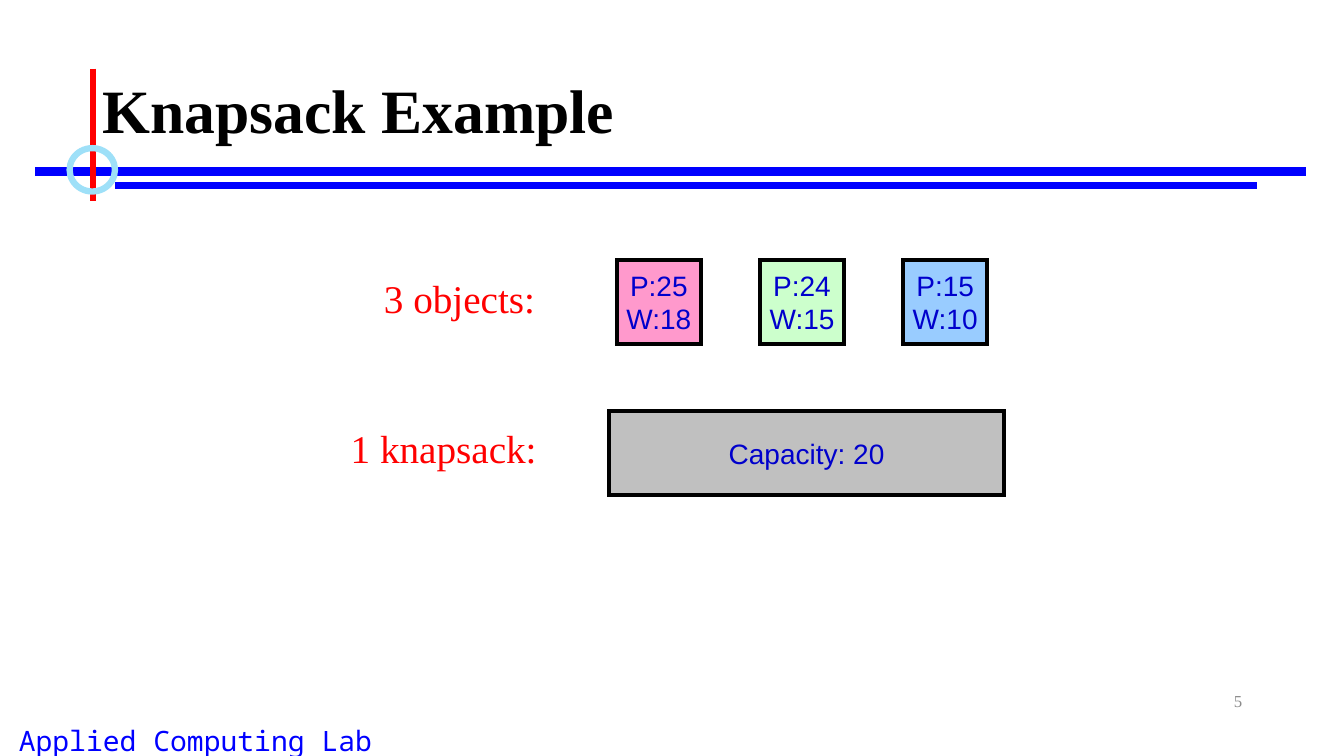
import pptx
import pptx.util
import pptx.dml.color
import pptx.enum.shapes
import pptx.enum.text
import pptx.oxml.ns
from lxml import etree

Inches, Pt = pptx.util.Inches, pptx.util.Pt
RGB = pptx.dml.color.RGBColor.from_string
SHAPE = pptx.enum.shapes.MSO_SHAPE
ALIGN = pptx.enum.text.PP_ALIGN
ANCHOR = pptx.enum.text.MSO_ANCHOR

COLORS = {"blue": "0000FF", "red": "FF0000", "ring": "9EE0F8", "black": "000000",
          "number": "8C8C8C", "label": "0000CC", "pink": "FF99CC",
          "green": "CCFFCC", "sky": "99CCFF", "gray": "C0C0C0"}

prs = pptx.Presentation()
prs.slide_width, prs.slide_height = Inches(13.33), Inches(7.5)
s = prs.slides.add_slide(prs.slide_layouts[6])


def set_text(sp, text, size, font, color, align=ALIGN.LEFT, anchor=ANCHOR.TOP, wrap=True):
    tf = sp.text_frame
    tf.text = text
    tf.word_wrap = wrap
    tf.vertical_anchor = anchor
    for p in tf.paragraphs:
        p.alignment = align
        for r in p.runs:
            r.font.size, r.font.name = Pt(size), font
            r.font.color.rgb = RGB(COLORS[color])
    return tf


def add_box(left, top, width, fill, text):
    sp = s.shapes.add_shape(SHAPE.RECTANGLE, Inches(left), Inches(top),
                            Inches(width), Inches(0.83))
    sp.shadow.inherit = False
    sp.fill.solid()
    sp.fill.fore_color.rgb = RGB(COLORS[fill])
    sp.line.color.rgb = RGB(COLORS["black"])
    sp.line.width = Pt(3)
    # Square corners on the outline
    ln = sp._element.spPr.find(pptx.oxml.ns.qn("a:ln"))
    etree.SubElement(ln, pptx.oxml.ns.qn("a:miter"), lim="800000")
    set_text(sp, text, 20, "Arial", "label", ALIGN.CENTER, ANCHOR.MIDDLE, wrap=False)


# Footer
sp = s.shapes.add_textbox(Inches(0.04), Inches(7.13), Inches(3.8), Inches(0.37))
tf = set_text(sp, "Applied Computing Lab", 20, "Noto Sans Mono", "blue", ALIGN.CENTER)
tf.margin_left = tf.margin_right = tf.margin_bottom = 0

# Title rules and ring
for x1, y1, x2, y2, color, width in [(0.35, 1.7, 12.95, 1.7, "blue", 6),
                                     (1.14, 1.84, 12.47, 1.84, "blue", 4.5),
                                     (0.92, 0.68, 0.92, 1.99, "red", 4.5)]:
    line = s.shapes.add_connector(pptx.enum.shapes.MSO_CONNECTOR.STRAIGHT,
                                  Inches(x1), Inches(y1), Inches(x2), Inches(y2))
    line.line.color.rgb = RGB(COLORS[color])
    line.line.width = Pt(width)
    etree.SubElement(line._element.spPr, pptx.oxml.ns.qn("a:effectLst"))

ring = s.shapes.add_shape(SHAPE.OVAL, Inches(0.69), Inches(1.47), Inches(0.45), Inches(0.43))
ring.shadow.inherit = False
ring.fill.background()
ring.line.color.rgb = RGB(COLORS["ring"])
ring.line.width = Pt(4.5)

# Title and slide number
sp = s.shapes.add_textbox(Inches(0.92), Inches(0.4), Inches(11.5), Inches(1.45))
tf = set_text(sp, "Knapsack Example", 44, "Times New Roman", "black", anchor=ANCHOR.MIDDLE)
tf.paragraphs[0].line_spacing = 0.9
tf.paragraphs[0].runs[0].font.bold = True

sp = s.shapes.add_textbox(Inches(9.42), Inches(6.75), Inches(3), Inches(0.4))
set_text(sp, "5", 12, "Times New Roman", "number", ALIGN.RIGHT, ANCHOR.MIDDLE)

# Row labels
for left, top, width, text in [(3.71, 2.67, 1.73, "3 objects:"),
                               (3.38, 4.16, 2.09, "1 knapsack:")]:
    sp = s.shapes.add_textbox(Inches(left), Inches(top), Inches(width), Inches(0.57))
    set_text(sp, text, 28, "Times New Roman", "red", wrap=False)

# Objects with profit and weight
objects = [("pink", 25, 18), ("green", 24, 15), ("sky", 15, 10)]
for i, (fill, profit, weight) in enumerate(objects):
    add_box(6.12 + 1.42 * i, 2.58, 0.83, fill, f"P:{profit}\nW:{weight}")

# Knapsack
add_box(6.04, 4.08, 3.92, "gray", "Capacity: 20")

prs.save("out.pptx")
